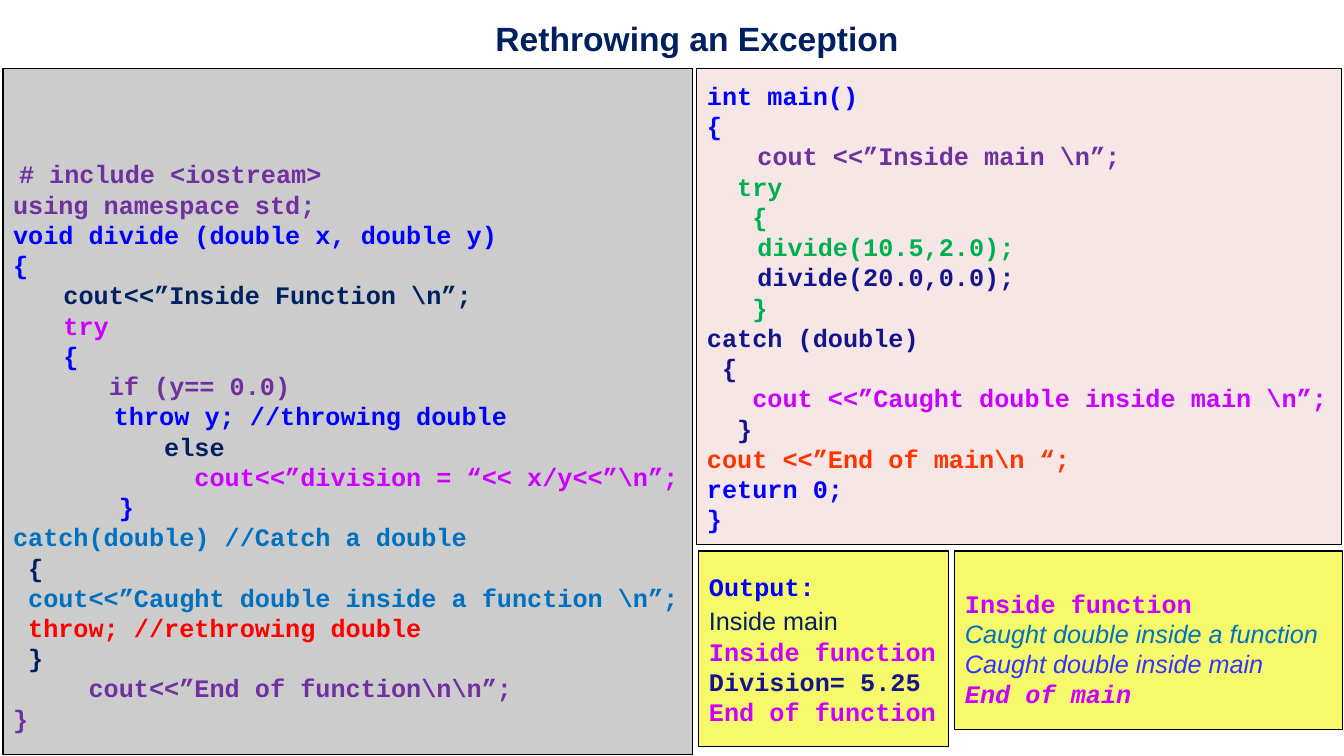
from pptx import Presentation
from pptx.dml.color import RGBColor as RGB
from pptx.enum.shapes import MSO_SHAPE as Shape
from pptx.enum.text import MSO_ANCHOR as Anchor, PP_ALIGN as Align
from pptx.util import Emu, Pt

BLACK = RGB(0, 0, 0)
NAVY = RGB(0x00, 0x20, 0x60)
INK = RGB(0x14, 0x14, 0x8C)
BLUE = RGB(0x00, 0x00, 0xFF)
VIOLET = RGB(0x33, 0x33, 0xFF)
SKY = RGB(0x00, 0x70, 0xC0)
PURPLE = RGB(0x70, 0x30, 0xA0)
PINK = RGB(0xCC, 0x00, 0xFF)
GREEN = RGB(0x00, 0xB0, 0x50)
RED = RGB(0xFF, 0x00, 0x00)
ORANGE = RGB(0xFF, 0x33, 0x00)
GRAY = RGB(0xCC, 0xCC, 0xCC)
ROSE = RGB(0xF6, 0xE7, 0xE6)
YELLOW = RGB(0xF6, 0xF9, 0x69)

# font, bold, italic, indent in px, space before in points
CODE = ("Courier New", True, False, 0, 0)
HEAD = ("Courier New", True, False, 6, 0)
SLANT = ("Courier New", True, True, 0, 0)
PLAIN = ("Arial", False, False, 0, 3)
NOTE = ("Arial", False, True, 0, 0)

TITLE = "Rethrowing an Exception"
DIVIDE = [
    (PURPLE, "# include <iostream>", HEAD),
    (PURPLE, "using namespace std;"),
    (BLUE, "void divide (double x, double y)"),
    (BLUE, "{"),
    (NAVY, "\tcout<<”Inside Function \\n”;"),
    (PINK, "\ttry"),
    (BLUE, "\t{"),
    (PURPLE, "\t   if (y== 0.0)"),
    (BLUE, "\t\tthrow y; //throwing double"),
    (NAVY, "          else"),
    (PINK, "            cout<<”division = “<< x/y<<”\\n”;"),
    (BLUE, "       }"),
    (SKY, "catch(double) //Catch a double"),
    (NAVY, " {"),
    (SKY, " cout<<”Caught double inside a function \\n”;"),
    (RED, " throw; //rethrowing double"),
    (NAVY, " }"),
    (PURPLE, "     cout<<”End of function\\n\\n”;"),
    (PURPLE, "}"),
]
MAIN = [
    (BLUE, "int main()"),
    (BLUE, "{"),
    (PURPLE, "\tcout <<”Inside main \\n”;"),
    (GREEN, "  try"),
    (GREEN, "   {"),
    (GREEN, "\tdivide(10.5,2.0);"),
    (INK, "\tdivide(20.0,0.0);"),
    (GREEN, "   }"),
    (INK, "catch (double)"),
    (INK, " {"),
    (PINK, "   cout <<”Caught double inside main \\n”;"),
    (INK, "  }"),
    (ORANGE, "cout <<”End of main\\n “;"),
    (BLUE, "return 0;"),
    (BLUE, "}"),
]
FIRST = [
    (BLUE, "Output:"),
    (NAVY, "Inside main", PLAIN),
    (PINK, "Inside function"),
    (INK, "Division= 5.25"),
    (PINK, "End of function"),
]
SECOND = [
    (PINK, "Inside function"),
    (SKY, "Caught double inside a function", NOTE),
    (VIOLET, "Caught double inside main", NOTE),
    (PINK, "End of main", SLANT),
]
# left, top, width, height, top inset, fill, lines
PANELS = [
    (3, 69, 690, 686, 73, GRAY, DIVIDE),
    (697, 69, 645, 476, 5, ROSE, MAIN),
    (699, 551, 250, 196, 5, YELLOW, FIRST),
    (955, 551, 388, 179, 21, YELLOW, SECOND),
]


def px(n):
    return Emu(round(n * 12192000 / 1344))


def place(shape, *box):
    shape.left, shape.top, shape.width, shape.height = map(px, box)


def pad(frame, top=5):
    frame.word_wrap = True
    frame.vertical_anchor = Anchor.MIDDLE
    frame.margin_left = frame.margin_right = px(10)
    frame.margin_top, frame.margin_bottom = px(top), px(5)


def style(para, color, size, face, bold, slant):
    font = para.font
    font.name, font.size, font.bold, font.italic = face, Pt(size), bold, slant
    font.color.rgb = color


def write(frame, lines):
    for i, (color, text, *kind) in enumerate(lines):
        para = frame.paragraphs[0] if i == 0 else frame.add_paragraph()
        face, bold, slant, indent, gap = kind[0] if kind else CODE
        para.add_run().text = text
        para.alignment = Align.LEFT
        if indent:
            para._p.get_or_add_pPr().set("marL", str(px(indent)))
        if gap:
            para.space_before = Pt(gap)
        style(para, color, 18, face, bold, slant)


def panel(slide, x, y, w, h, top, fill, lines):
    box = slide.shapes.add_shape(Shape.RECTANGLE, *map(px, (x, y, w, h)))
    box.shadow.inherit = False
    box.fill.solid()
    box.fill.fore_color.rgb = fill
    box.line.color.rgb = BLACK
    box.line.width = Pt(0.75)
    pad(box.text_frame, top)
    write(box.text_frame, lines)


def main():
    deck = Presentation()
    deck.slide_width, deck.slide_height = px(1344), px(756)
    slide = deck.slides.add_slide(deck.slide_layouts[5])
    title = slide.shapes.title
    place(title, 227, 13, 940, 50)
    title.text = TITLE
    pad(title.text_frame)
    para = title.text_frame.paragraphs[0]
    para.alignment = Align.CENTER
    style(para, NAVY, 24, "Arial", True, False)
    for item in PANELS:
        panel(slide, *item)
    deck.save("out.pptx")


if __name__ == "__main__":
    main()
